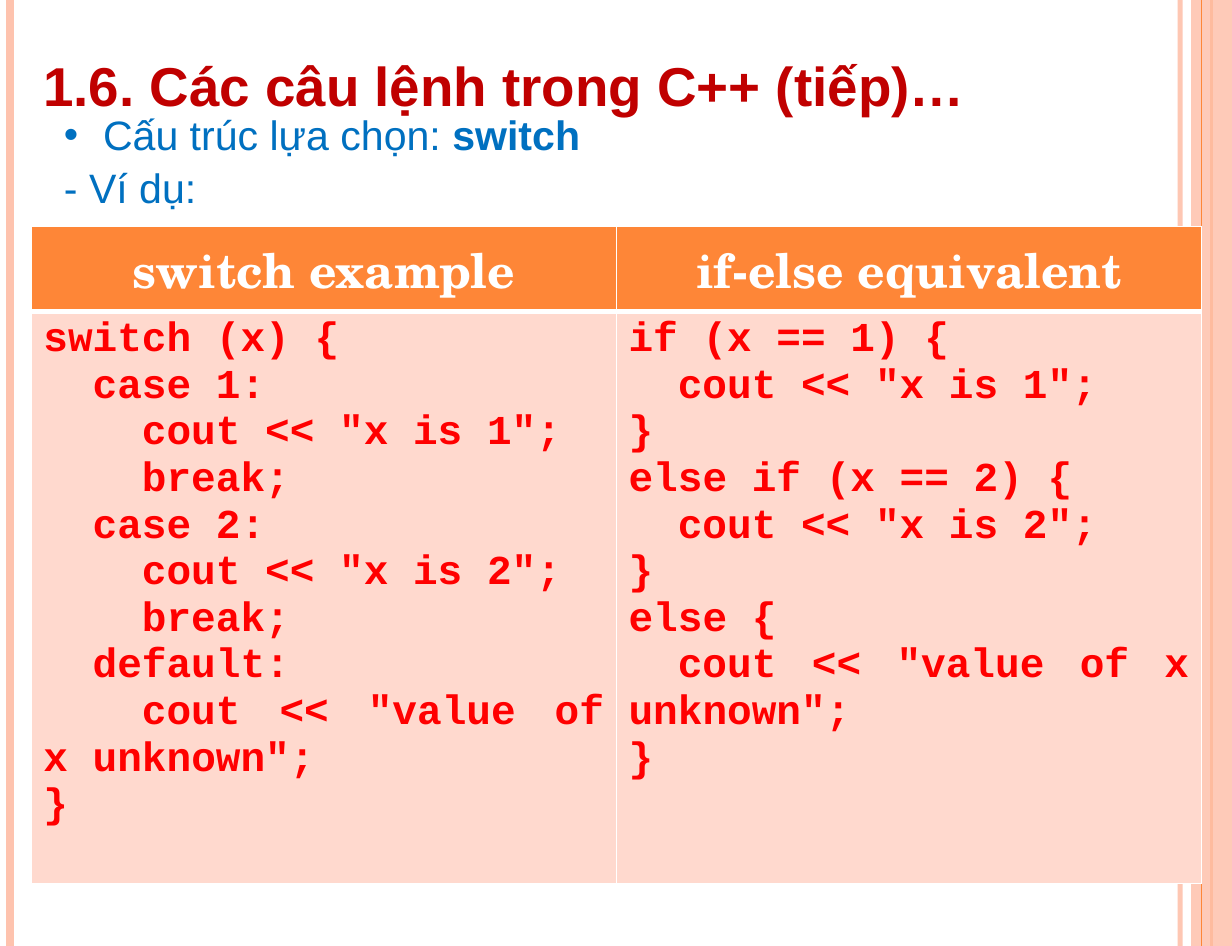
import pptx
import pptx.dml.color
import pptx.enum.shapes
import pptx.enum.text
import pptx.oxml
import pptx.oxml.ns
import pptx.util
from lxml import etree

Cm = pptx.util.Cm
Pt = pptx.util.Pt
qn = pptx.oxml.ns.qn
ALIGN = pptx.enum.text.PP_ALIGN
ANCHOR = pptx.enum.text.MSO_ANCHOR

COLORS = {
    "peach": "FEC3AE",
    "orange": "FE8637",
    "pale": "FFD9CE",
    "white": "FFFFFF",
    "title": "C00000",
    "body": "0070C0",
    "code": "FF0000",
}
FONTS = {
    "title": {"name": "Arial", "size": Pt(32), "bold": True},
    "body": {"name": "Arial", "size": Pt(24), "bold": False},
    "header": {"name": "TeX Gyre Schola", "size": Pt(28), "bold": True},
    "code": {"name": "Courier New", "size": Pt(24), "bold": True},
}
WIDTH, HEIGHT = 25.4, 19.51
CODE_INDENT = 1.016

HEADERS = ["switch example", "if-else equivalent"]
SWITCH_CODE = [
    (0, "switch (x) {"),
    (1, "case 1:"),
    (2, 'cout << "x is 1";'),
    (2, "break;"),
    (1, "case 2:"),
    (2, 'cout << "x is 2";'),
    (2, "break;"),
    (1, "default:"),
    (2, 'cout << "value of x unknown";'),
    (0, "}"),
]
IF_ELSE_CODE = [
    (0, "if (x == 1) {"),
    (1, 'cout << "x is 1";'),
    (0, "}"),
    (0, "else if (x == 2) {"),
    (1, 'cout << "x is 2";'),
    (0, "}"),
    (0, "else {"),
    (1, 'cout << "value of x unknown";'),
    (0, "}"),
]


def set_all(target, values):
    for attribute, value in values.items():
        setattr(target, attribute, value)


class SlideBuilder:
    def __init__(self, slide):
        self.slide = slide

    def color(self, key):
        return pptx.dml.color.RGBColor.from_string(COLORS[key])

    def fade(self, owner, percent):
        srgb = next(owner.iter(qn("a:srgbClr")))
        etree.SubElement(srgb, qn("a:alpha")).set("val", str(percent * 1000))

    def rule(self, x, color, width, opacity=100):
        line = self.slide.shapes.add_connector(
            pptx.enum.shapes.MSO_CONNECTOR.STRAIGHT, Cm(x), 0, Cm(x), Cm(HEIGHT))
        line.line.color.rgb = self.color(color)
        line.line.width = Pt(width)
        properties = line._element.spPr
        if opacity < 100:
            self.fade(properties, opacity)
        etree.SubElement(properties, qn("a:effectLst"))
        return line

    def band(self, x, width, color, opacity):
        band = self.slide.shapes.add_shape(
            pptx.enum.shapes.MSO_SHAPE.RECTANGLE, Cm(x), 0, Cm(width), Cm(HEIGHT))
        band.shadow.inherit = False
        band.fill.solid()
        band.fill.fore_color.rgb = self.color(color)
        band.line.fill.background()
        self.fade(band._element.spPr, opacity)
        return band

    def run(self, paragraph, text, style, color, **changes):
        run = paragraph.add_run()
        run.text = text
        set_all(run.font, {**FONTS[style], **changes})
        run.font.color.rgb = self.color(color)

    def text_frame(self, x, y, width, height, anchor=ANCHOR.TOP):
        frame = self.slide.shapes.add_textbox(Cm(x), Cm(y), Cm(width), Cm(height)).text_frame
        set_all(frame, {
            "word_wrap": True,
            "auto_size": pptx.enum.text.MSO_AUTO_SIZE.SHAPE_TO_FIT_TEXT,
            "vertical_anchor": anchor,
        })
        return frame

    def bullet(self, paragraph, hanging):
        properties = paragraph._p.get_or_add_pPr()
        properties.set("marL", str(Cm(hanging)))
        properties.set("indent", str(-Cm(hanging)))
        etree.SubElement(properties, qn("a:buFont")).set("typeface", "Arial")
        etree.SubElement(properties, qn("a:buChar")).set("char", "•")

    def table(self, x, y, width, row_heights):
        table = self.slide.shapes.add_table(
            len(row_heights), 2, Cm(x), Cm(y), Cm(width), Cm(sum(row_heights))).table
        for row, height in zip(table.rows, row_heights):
            row.height = Cm(height)
        return table

    def cell(self, cell, fill, borders):
        properties = cell._tc.get_or_add_tcPr()
        for side, width in borders.items():
            border = etree.SubElement(properties, qn("a:ln" + side), w=str(Pt(width)))
            solid = etree.SubElement(border, qn("a:solidFill"))
            etree.SubElement(solid, qn("a:srgbClr")).set("val", COLORS["white"])
        cell.fill.solid()
        cell.fill.fore_color.rgb = self.color(fill)

    def header(self, cell, text):
        self.cell(cell, "orange", {"L": 1, "R": 1, "T": 1, "B": 3})
        cell.vertical_anchor = ANCHOR.MIDDLE
        paragraph = cell.text_frame.paragraphs[0]
        paragraph.alignment = ALIGN.CENTER
        self.run(paragraph, text, "header", "white")

    def code(self, cell, lines):
        self.cell(cell, "pale", {"L": 1, "R": 1, "T": 3, "B": 1})
        frame = cell.text_frame
        for index, (depth, text) in enumerate(lines):
            paragraph = frame.add_paragraph() if index else frame.paragraphs[0]
            paragraph.alignment = ALIGN.JUSTIFY if "unknown" in text else ALIGN.LEFT
            properties = paragraph._p.get_or_add_pPr()
            properties.set("marL", "0")
            properties.set("indent", str(Cm(depth * CODE_INDENT)))
            self.run(paragraph, text, "code", "code")


def main():
    deck = pptx.Presentation()
    set_all(deck, {"slide_width": Cm(WIDTH), "slide_height": Cm(HEIGHT)})
    builder = SlideBuilder(deck.slides.add_slide(deck.slide_layouts[6]))

    builder.rule(24.33, "peach", 3, 93)
    builder.rule(0.2, "peach", 4.5)
    band_axis = builder.rule(24.98, "orange", 1.5)
    side_band = builder.band(24.56, 0.84, "peach", 87)
    band_axis.begin_connect(side_band, 0)
    band_axis.end_connect(side_band, 2)
    builder.rule(24.77, "orange", 0.75)

    title = builder.text_frame(0.64, 0.23, 21.8, 2.31, ANCHOR.BOTTOM).paragraphs[0]
    title.line_spacing = 1.5
    builder.run(title, "1.6. Các câu lệnh trong C++ (tiếp)…", "title", "title")

    outline = builder.text_frame(1.07, 2.13, 23.06, 2.31)
    topic, example = outline.paragraphs[0], outline.add_paragraph()
    for paragraph in (topic, example):
        paragraph.space_before = Pt(2)
    builder.bullet(topic, 0.57)
    builder.run(topic, " Cấu trúc lựa chọn: ", "body", "body")
    builder.run(topic, "switch", "body", "body", bold=True)
    builder.run(example, "- Ví dụ:", "body", "body")

    comparison = builder.table(0.64, 4.67, 24.13, [1.75, 11.8])
    for column, (heading, lines) in enumerate(zip(HEADERS, [SWITCH_CODE, IF_ELSE_CODE])):
        builder.header(comparison.cell(0, column), heading)
        builder.code(comparison.cell(1, column), lines)

    deck.save("out.pptx")


if __name__ == "__main__":
    main()
